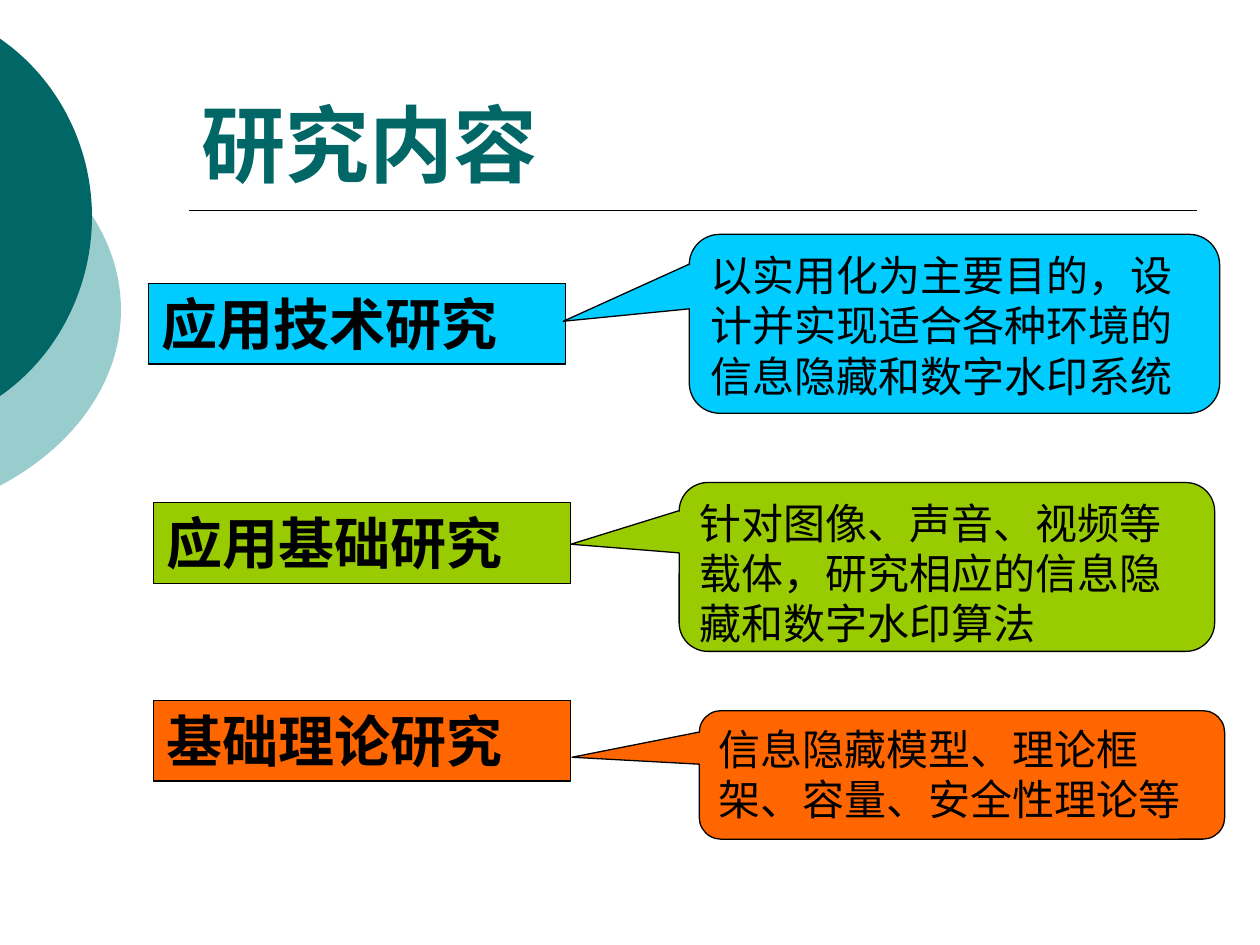
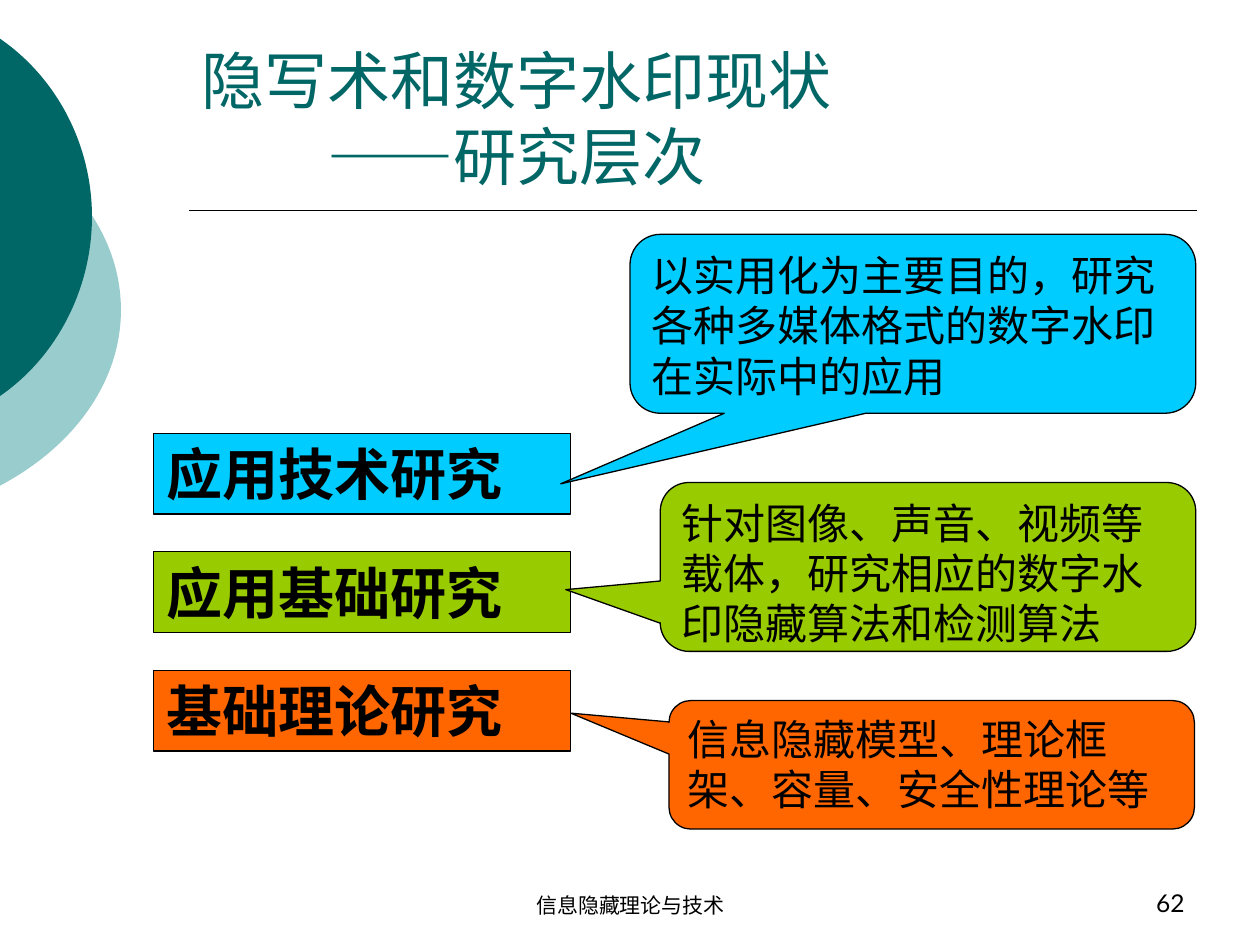
from dataclasses import dataclass
from typing import NamedTuple

from lxml import etree
from pptx import Presentation
from pptx.dml.color import RGBColor
from pptx.enum.shapes import MSO_CONNECTOR, MSO_SHAPE
from pptx.enum.text import MSO_ANCHOR, MSO_AUTO_SIZE, PP_ALIGN
from pptx.oxml.ns import qn
from pptx.util import Inches, Pt

RECTANGLE = MSO_SHAPE.RECTANGLE
CALLOUT = MSO_SHAPE.ROUNDED_RECTANGULAR_CALLOUT
STRAIGHT = MSO_CONNECTOR.STRAIGHT
TOP, BOTTOM = MSO_ANCHOR.TOP, MSO_ANCHOR.BOTTOM
LEFT, CENTER, RIGHT = PP_ALIGN.LEFT, PP_ALIGN.CENTER, PP_ALIGN.RIGHT
GROW = MSO_AUTO_SIZE.SHAPE_TO_FIT_TEXT


@dataclass(frozen=True)
class Theme:
    teal: str = "006666"
    pale_teal: str = "99CCCC"
    black: str = "000000"
    blue: str = "00CCFF"
    green: str = "99CC00"
    orange: str = "FF6600"
    heading_font: str = "Arial"
    body_font: str = "Lato"
    footer_font: str = "DejaVu Sans"
    label_size: int = 32
    callout_size: int = 24
    number_size: int = 14
    footer_size: int = 12
    outline: float = 0.75
    rule: float = 1


THEME = Theme()


class Box(NamedTuple):
    left: float
    top: float
    width: float
    height: float

    def lengths(self) -> list:
        return [Inches(value) for value in self]


class Point(NamedTuple):
    x: float
    y: float


class Disc(NamedTuple):
    """Disc in a frame, of which only the part right of the slide edge is drawn."""
    color: str
    frame: Box
    top: float
    middle: float
    bottom: float
    shoulder: float


class Level(NamedTuple):
    name: str
    color: str
    label_at: Point
    callout: Box
    tip: Point
    description: str


class Page(NamedTuple):
    title: str
    title_size: int
    title_bold: bool
    levels: list[Level]
    footer: str = ""
    number: str = ""


TITLE_BOX = Box(1.5, 0.33, 8, 1.25)
FOOTER_BOX = Box(3.42, 6.83, 3.17, 0.5)
NUMBER_BOX = Box(7.17, 6.83, 2.33, 0.5)
RULE_START, RULE_END = Point(1.5, 1.67), Point(9.5, 1.67)
LABEL_WIDTH, LABEL_HEIGHT = 3.31, 0.64
LABEL_LEFT = 1.22
STACK_TOP, STACK_STEP = 3.44, 0.94
CORNER = 0.17
TAB_STOP = 1
DISC_EDGE = -0.01
SHOULDER_RISE, BULGE = 0.32, 0.56

DISCS = [
    Disc(THEME.pale_teal, Box(-3.54, 0.75, 4.5, 3.42), 1.06, 2.46, 3.86, 0.6),
    Disc(THEME.teal, Box(-2.65, 0, 3.38, 3.45), 0.3, 1.72, 3.15, 0.46),
]

APPLIED, BASIS, THEORY = "应用技术研究", "应用基础研究", "基础理论研究"
THEORY_TEXT = "信息隐藏模型、理论框架、容量、安全性理论等"

PAGES = [
    Page("研究内容", 48, True, [
        Level(APPLIED, THEME.blue, Point(1.18, 2.25),
              Box(5.47, 1.86, 4.21, 1.42), Point(4.47, 2.55),
              "以实用化为主要目的，设计并实现适合各种环境的信息隐藏和数字水印系统"),
        Level(BASIS, THEME.green, Point(LABEL_LEFT, 3.99),
              Box(5.39, 3.83, 4.25, 1.34), Point(4.53, 4.32),
              "针对图像、声音、视频等载体，研究相应的信息隐藏和数字水印算法"),
        Level(THEORY, THEME.orange, Point(LABEL_LEFT, 5.56),
              Box(5.55, 5.64, 4.17, 1.02), Point(4.54, 6.01), THEORY_TEXT),
    ]),
    Page("隐写术和数字水印现状\v\t——研究层次", 36, False, [
        Level(APPLIED, THEME.blue, Point(LABEL_LEFT, STACK_TOP),
              Box(5, 1.86, 4.49, 1.42), Point(4.45, 3.84),
              "以实用化为主要目的，研究各种多媒体格式的数字水印在实际中的应用"),
        Level(BASIS, THEME.green, Point(LABEL_LEFT, STACK_TOP + STACK_STEP),
              Box(5.24, 3.83, 4.25, 1.34), Point(4.49, 4.68),
              "针对图像、声音、视频等载体，研究相应的数字水印隐藏算法和检测算法"),
        Level(THEORY, THEME.orange, Point(LABEL_LEFT, STACK_TOP + 2 * STACK_STEP),
              Box(5.31, 5.56, 4.17, 1.02), Point(4.53, 5.66), THEORY_TEXT),
    ], footer="信息隐藏理论与技术", number="62"),
]


def set_line_rules(shape, text: str) -> None:
    """Keep punctuation inside the box and set the tab stop where one is used."""
    for properties in shape.element.iter(qn("a:pPr")):
        properties.set("hangingPunct", "0")
        if "\t" in text:
            tabs = etree.SubElement(properties, qn("a:tabLst"))
            etree.SubElement(tabs, qn("a:tab"), pos=str(Inches(TAB_STOP)), algn="l")


def write_text(shape, text: str, size: int, font: str = THEME.body_font,
               color: str = THEME.black, bold: bool = False,
               align=LEFT, anchor=TOP) -> None:
    frame = shape.text_frame
    frame.word_wrap = True
    frame.vertical_anchor = anchor
    paragraph = frame.paragraphs[0]
    paragraph.text = text
    paragraph.alignment = align
    set_line_rules(shape, text)
    formats = {"size": Pt(size), "name": font, "bold": bold}
    for run in paragraph.runs:
        for attribute, value in formats.items():
            setattr(run.font, attribute, value)
        run.font.color.rgb = RGBColor.from_string(color)


def add_text(slide, box: Box, text: str, size: int, **formats) -> None:
    shape = slide.shapes.add_textbox(*box.lengths())
    write_text(shape, text, size, anchor=BOTTOM, **formats)


def fill_shape(shape, color: str) -> None:
    shape.shadow.inherit = False
    shape.fill.solid()
    shape.fill.fore_color.rgb = RGBColor.from_string(color)


def add_panel(slide, kind, box: Box, color: str):
    shape = slide.shapes.add_shape(kind, *box.lengths())
    fill_shape(shape, color)
    shape.line.color.rgb = RGBColor.from_string(THEME.black)
    shape.line.width = Pt(THEME.outline)
    return shape


def bend_segments(outline) -> None:
    """Turn each three straight segments into one cubic curve."""
    segments = outline.findall(qn("a:lnTo"))
    for first in range(0, len(segments) - 2, 3):
        bend = etree.Element(qn("a:cubicBezTo"))
        segments[first].addprevious(bend)
        for segment in segments[first:first + 3]:
            bend.append(segment[0])
            outline.remove(segment)


def add_disc(slide, disc: Disc) -> None:
    frame = disc.frame
    reach = frame.left + frame.width
    controls = [
        Point(disc.shoulder, disc.top + SHOULDER_RISE),
        Point(reach, disc.middle - BULGE),
        Point(reach, disc.middle),
        Point(reach, disc.middle + BULGE),
        Point(disc.shoulder, disc.bottom - SHOULDER_RISE),
        Point(DISC_EDGE, disc.bottom),
    ]
    builder = slide.shapes.build_freeform(Inches(DISC_EDGE), Inches(disc.top))
    builder.add_line_segments([(Inches(p.x), Inches(p.y)) for p in controls])
    shape = builder.convert_to_shape()
    # Place the outline within the frame of the whole disc
    shape.left, shape.top, shape.width, shape.height = frame.lengths()
    outline = next(shape.element.iter(qn("a:path")))
    outline.set("w", str(shape.width))
    outline.set("h", str(shape.height))
    shifts = {"x": Inches(DISC_EDGE - frame.left), "y": Inches(disc.top - frame.top)}
    for point in outline.iter(qn("a:pt")):
        for axis, shift in shifts.items():
            point.set(axis, str(int(point.get(axis)) + shift))
    bend_segments(outline)
    fill_shape(shape, disc.color)
    shape.line.fill.background()


def add_rule(slide) -> None:
    ends = [Inches(value) for value in (*RULE_START, *RULE_END)]
    rule = slide.shapes.add_connector(STRAIGHT, *ends)
    rule.line.color.rgb = RGBColor.from_string(THEME.black)
    rule.line.width = Pt(THEME.rule)
    properties = rule.element.find(qn("p:spPr"))
    etree.SubElement(properties, qn("a:effectLst"))


def add_label(slide, level: Level) -> None:
    box = Box(*level.label_at, LABEL_WIDTH, LABEL_HEIGHT)
    shape = add_panel(slide, RECTANGLE, box, level.color)
    write_text(shape, level.name, THEME.label_size, bold=True)
    shape.text_frame.auto_size = GROW


def add_callout(slide, level: Level) -> None:
    box, tip = level.callout, level.tip
    shape = add_panel(slide, CALLOUT, box, level.color)
    # The tip is given relative to the centre, in shares of the box
    shape.adjustments[0] = (tip.x - box.left) / box.width - 0.5
    shape.adjustments[1] = (tip.y - box.top) / box.height - 0.5
    shape.adjustments[2] = CORNER
    write_text(shape, level.description, THEME.callout_size)


def add_page(presentation, page: Page) -> None:
    slide = presentation.slides.add_slide(presentation.slide_layouts[6])
    # Shared decoration and title
    for disc in DISCS:
        add_disc(slide, disc)
    add_rule(slide)
    add_text(slide, TITLE_BOX, page.title, page.title_size,
             font=THEME.heading_font, color=THEME.teal, bold=page.title_bold)
    # Research levels, from the bottom up
    for add_part in (add_label, add_callout):
        for level in reversed(page.levels):
            add_part(slide, level)
    # Footer
    if page.footer:
        add_text(slide, FOOTER_BOX, page.footer, THEME.footer_size,
                 font=THEME.footer_font, align=CENTER)
    if page.number:
        add_text(slide, NUMBER_BOX, page.number, THEME.number_size, align=RIGHT)


def main() -> None:
    presentation = Presentation()
    presentation.slide_width = Inches(10)
    presentation.slide_height = Inches(7.5)
    for page in PAGES:
        add_page(presentation, page)
    presentation.save("out.pptx")


if __name__ == "__main__":
    main()
